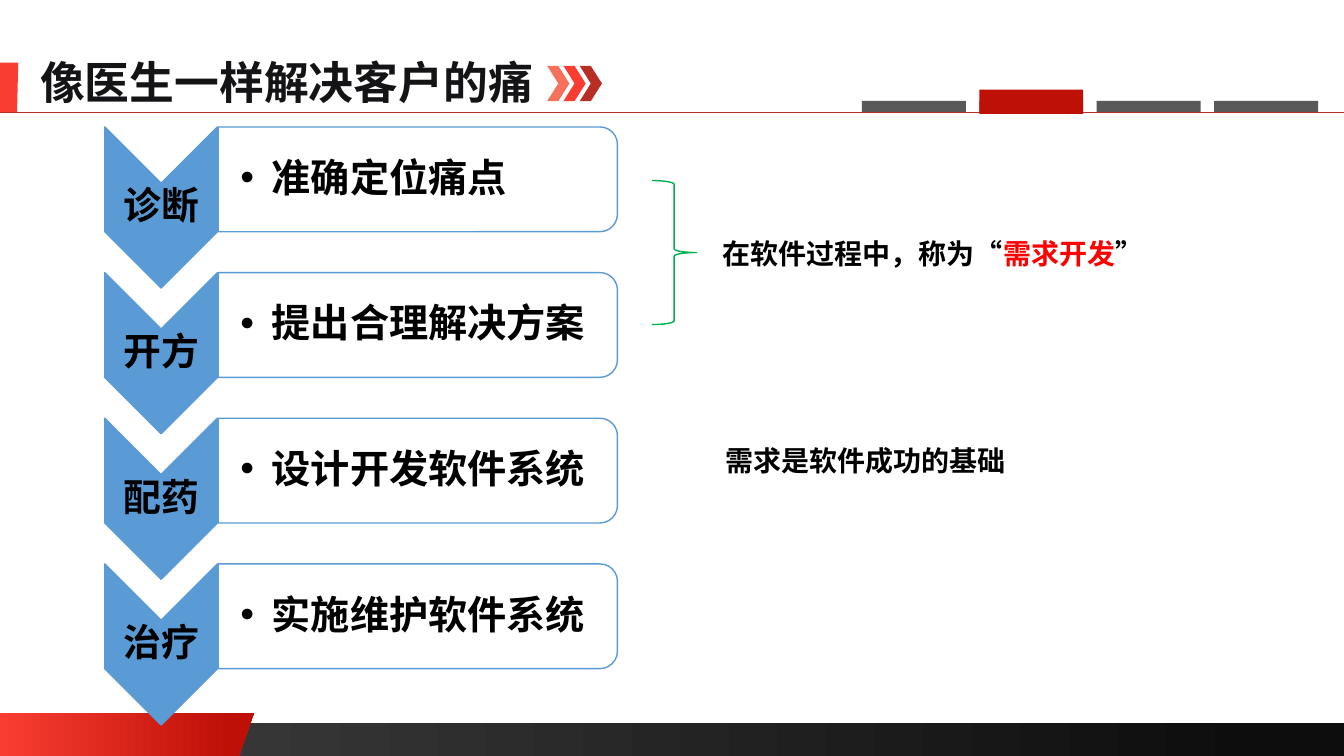
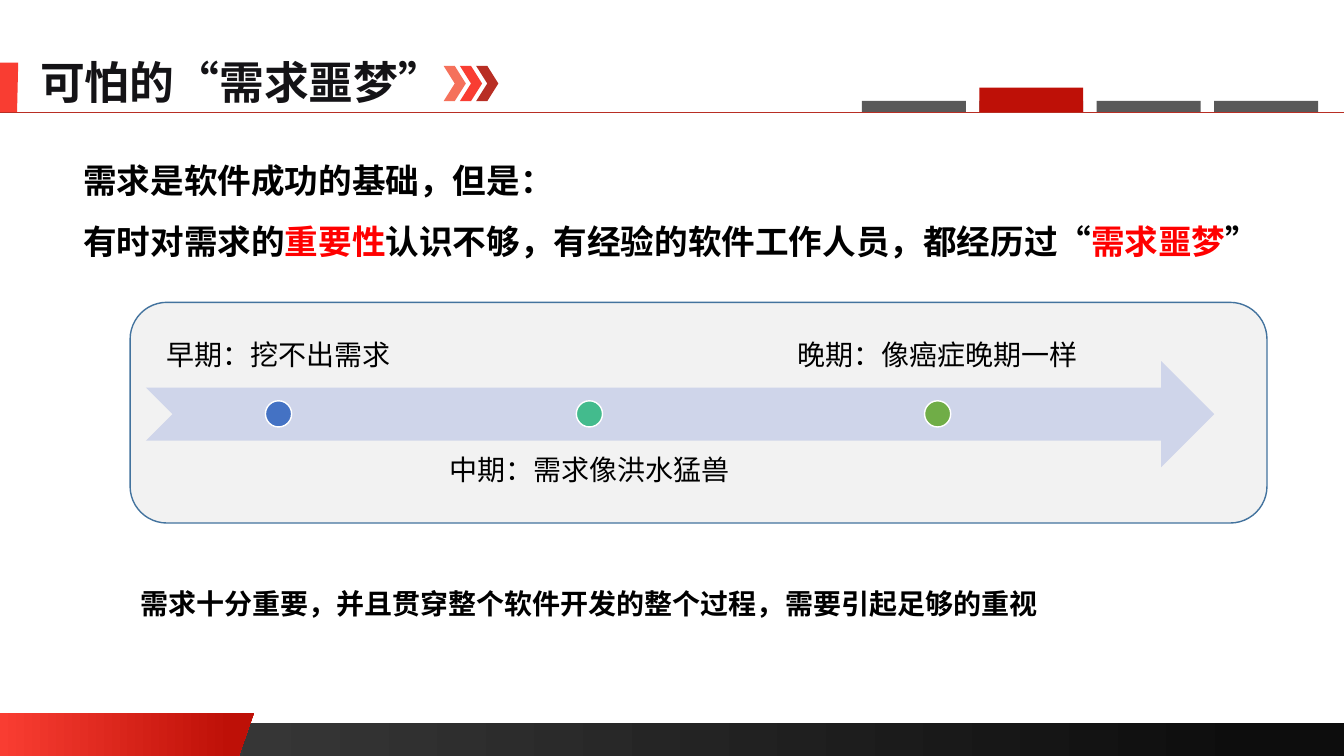
from dataclasses import dataclass

from lxml.etree import SubElement
from pptx import Presentation
from pptx.dml.color import RGBColor
from pptx.enum.shapes import MSO_CONNECTOR, MSO_SHAPE
from pptx.enum.text import MSO_ANCHOR, MSO_AUTO_SIZE, PP_ALIGN
from pptx.oxml.ns import qn
from pptx.util import Cm, Pt


@dataclass(frozen=True)
class Theme:
    ink: str = "141316"
    text: str = "000000"
    white: str = "FFFFFF"
    emphasis: str = "FF0000"
    coral: str = "F5715B"
    red: str = "F93D32"
    deep_red: str = "BE1007"
    brick: str = "B82E24"
    tab: str = "595959"
    band_start: str = "404040"
    band_end: str = "0D0D0D"
    step: str = "5B9BD5"
    brace: str = "00B050"
    panel: str = "F2F2F2"
    panel_line: str = "43739E"
    arrow: str = "CFD5EA"
    dots: tuple = ("4472C4", "43BB8D", "70AD47")
    latin: str = "Calibri"
    chinese: str = "Noto Sans CJK SC"
    title_size: int = 32
    detail_size: int = 28
    label_size: int = 27
    lead_size: int = 24
    body_size: int = 20


THEME = Theme()
PAGE_WIDTH, PAGE_HEIGHT = 33.87, 19.05


def rgb(value):
    return RGBColor.from_string(value)


def paint(shape, fill=None, line=None, weight=1):
    """Fill with one colour, a (start, end, end position) gradient, or nothing."""
    shape.shadow.inherit = False
    if fill is None:
        shape.fill.background()
    elif isinstance(fill, tuple):
        start, end, position = fill
        shape.fill.gradient()
        shape.fill.gradient_angle = 0
        first, last = shape.fill.gradient_stops
        first.color.rgb, last.color.rgb = rgb(start), rgb(end)
        first.position, last.position = 0, position
    else:
        shape.fill.solid()
        shape.fill.fore_color.rgb = rgb(fill)
    if line:
        shape.line.color.rgb = rgb(line)
        shape.line.width = Pt(weight)
    else:
        shape.line.fill.background()


def add_preset(page, kind, left, top, width, height, **style):
    shape = page.shapes.add_shape(kind, Cm(left), Cm(top), Cm(width), Cm(height))
    paint(shape, **style)
    return shape


def add_turned(page, kind, left, top, width, height, **style):
    """Add a preset turned by 90 degrees that covers the given frame."""
    shift = (width - height) / 2
    shape = add_preset(page, kind, left + shift, top - shift, height, width, **style)
    shape.rotation = 90


def add_outline(page, points, fill):
    corners = [(Cm(x), Cm(y)) for x, y in points]
    builder = page.shapes.build_freeform(*corners[0], scale=1.0)
    builder.add_line_segments(corners[1:], close=True)
    paint(builder.convert_to_shape(), fill=fill)


def add_rule(page, top, colour, weight):
    rule = page.shapes.add_connector(
        MSO_CONNECTOR.STRAIGHT, Cm(0), Cm(top), Cm(PAGE_WIDTH), Cm(top))
    rule.line.color.rgb = rgb(colour)
    rule.line.width = Pt(weight)
    SubElement(rule._element.spPr, qn("a:effectLst"))


def add_bullet(para, indent):
    properties = para._p.get_or_add_pPr()
    properties.set("marL", str(Cm(indent)))
    properties.set("indent", str(-Cm(indent)))
    SubElement(properties, qn("a:buFont")).set("typeface", "Arial")
    SubElement(properties, qn("a:buChar")).set("char", "•")


def add_text(page, text, left, top, width, height, *, size=THEME.body_size,
             colour=THEME.text, bold=True, font=THEME.latin, align=PP_ALIGN.LEFT,
             anchor=MSO_ANCHOR.TOP, wrap=True, grow=False, spacing=1.0,
             insets=(0.25, 0.13, 0.25, 0.13), bullet=None):
    """Add a text box; each line is a paragraph, and |bars| enclose emphasis."""
    box = page.shapes.add_textbox(Cm(left), Cm(top), Cm(width), Cm(height))
    frame = box.text_frame
    frame.word_wrap = wrap
    frame.auto_size = MSO_AUTO_SIZE.SHAPE_TO_FIT_TEXT if grow else MSO_AUTO_SIZE.NONE
    frame.vertical_anchor = anchor
    frame.margin_left, frame.margin_top, frame.margin_right, frame.margin_bottom = map(Cm, insets)
    for number, line in enumerate(text.splitlines()):
        para = frame.add_paragraph() if number else frame.paragraphs[0]
        para.alignment = align
        para.line_spacing = spacing
        if bullet:
            add_bullet(para, bullet)
        for index, part in enumerate(line.split("|")):
            span = para.add_run()
            span.text = part
            span.font.size = Pt(size)
            span.font.bold = bold
            span.font.name = font
            span.font.color.rgb = rgb(THEME.emphasis if index % 2 else colour)
            SubElement(span._r.get_or_add_rPr(), qn("a:ea")).set("typeface", THEME.chinese)


def add_note(page, text, left, top, width):
    add_text(page, text, left, top, width, 1.12, wrap=False, grow=True)


def add_footer(page):
    add_preset(page, MSO_SHAPE.RECTANGLE, 0, 18.21, PAGE_WIDTH, 0.84,
               fill=(THEME.band_start, THEME.band_end, 0.94))
    add_outline(page, [(0, 17.96), (6.4, 17.96), (6.02, PAGE_HEIGHT), (0, PAGE_HEIGHT)],
                (THEME.red, THEME.deep_red, 0.91))


def add_tabs(page, active_top):
    left, pitch, width = 21.72, 2.96, 2.62
    for index in range(4):
        add_preset(page, MSO_SHAPE.RECTANGLE, left + index * pitch, 2.54, width, 0.28,
                   fill=THEME.tab)
    add_preset(page, MSO_SHAPE.RECTANGLE, left + pitch, active_top, width, 0.61,
               fill=THEME.deep_red)


def add_page(deck, title, title_width, arrows_left, active_top):
    """Add a blank page with the title, tabs and bands that all pages share."""
    page = deck.slides.add_slide(deck.slide_layouts[6])
    add_footer(page)
    add_outline(page, [(0, 1.58), (0.46, 1.58), (0.43, 2.84), (0, 2.84)], THEME.red)
    add_text(page, title, 0.76, 1.24, title_width, 1.63, size=THEME.title_size,
             colour=THEME.ink, font=THEME.chinese, wrap=False, grow=True)
    add_rule(page, 2.82, THEME.brick, 0.5)
    for index, colour in enumerate((THEME.coral, THEME.red, THEME.brick)):
        add_preset(page, MSO_SHAPE.CHEVRON, arrows_left + index * 0.41, 1.66, 0.56, 0.89,
                   fill=colour)
    add_tabs(page, active_top)
    return page


def add_step(page, label, detail, top):
    insets = (0.05,) * 4
    add_turned(page, MSO_SHAPE.CHEVRON, 2.64, top, 2.84, 4.06,
               fill=THEME.step, line=THEME.step)
    add_text(page, label, 2.64, top + 1.42, 2.84, 1.22, size=THEME.label_size,
             font=THEME.chinese, align=PP_ALIGN.CENTER, anchor=MSO_ANCHOR.MIDDLE,
             spacing=0.9, insets=insets)
    add_turned(page, MSO_SHAPE.ROUND_2_SAME_RECTANGLE, 5.5, top, 10.06, 2.64,
               fill=THEME.white, line=THEME.step)
    add_text(page, detail, 5.5, top + 0.13, 9.93, 2.38, size=THEME.detail_size,
             font=THEME.chinese, anchor=MSO_ANCHOR.MIDDLE, spacing=0.9,
             insets=(0.56, 0.05, 0.05, 0.05), bullet=0.79)


def add_stage(page, text, left, width, colour, above):
    """Add a stage label above or below the arrow, with its dot on the arrow."""
    dot = 0.66
    add_text(page, text, left, 7.11 if above else 11.1, width, 2.67, bold=False,
             align=PP_ALIGN.CENTER, spacing=0.9, insets=(0.41,) * 4,
             anchor=MSO_ANCHOR.BOTTOM if above else MSO_ANCHOR.TOP)
    add_preset(page, MSO_SHAPE.OVAL, left + (width - dot) / 2, 10.1, dot, dot,
               fill=colour, line=THEME.white)


def build_treatment(deck):
    page = add_page(deck, "像医生一样解决客户的痛", 13.06, 13.79, 2.26)
    steps = [
        ("诊断", "准确定位痛点"),
        ("开方", "提出合理解决方案"),
        ("配药", "设计开发软件系统"),
        ("治疗", "实施维护软件系统"),
    ]
    for index, (label, detail) in enumerate(steps):
        add_step(page, label, detail, 3.2 + index * 3.67)
    add_preset(page, MSO_SHAPE.RIGHT_BRACE, 16.43, 4.55, 1.12, 3.63, line=THEME.brace)
    add_note(page, "在软件过程中，称为“|需求开发|”", 17.96, 5.84, 11.28)
    add_note(page, "需求是软件成功的基础", 18.03, 11.05, 7.59)


def build_nightmare(deck):
    page = add_page(deck, "可怕的“需求噩梦”", 10.77, 11.18, 2.21)
    add_text(page, "需求是软件成功的基础，但是：\n"
             "有时对需求的|重要性|认识不够，有经验的软件工作人员，都经历过“|需求噩梦|”",
             1.85, 3.4, 31.04, 3.33, size=THEME.lead_size, spacing=1.5, grow=True)
    add_preset(page, MSO_SHAPE.ROUNDED_RECTANGLE, 3.28, 7.62, 28.65, 5.56,
               fill=THEME.panel, line=THEME.panel_line)
    add_preset(page, MSO_SHAPE.NOTCHED_RIGHT_ARROW, 3.68, 9.1, 26.92, 2.67, fill=THEME.arrow)
    stages = [
        ("早期：挖不出需求", 3.68, 6.68),
        ("中期：需求像洪水猛兽", 10.69, 8.33),
        ("晚期：像癌症晚期一样", 19.35, 8.56),
    ]
    for index, (stage, colour) in enumerate(zip(stages, THEME.dots)):
        add_stage(page, *stage, colour, above=index % 2 == 0)
    add_note(page, "需求十分重要，并且贯穿整个软件开发的整个过程，需要引起足够的重视",
             3.28, 14.66, 23.19)


def main():
    deck = Presentation()
    deck.slide_width, deck.slide_height = Cm(PAGE_WIDTH), Cm(PAGE_HEIGHT)
    build_treatment(deck)
    build_nightmare(deck)
    deck.save("out.pptx")


if __name__ == "__main__":
    main()
